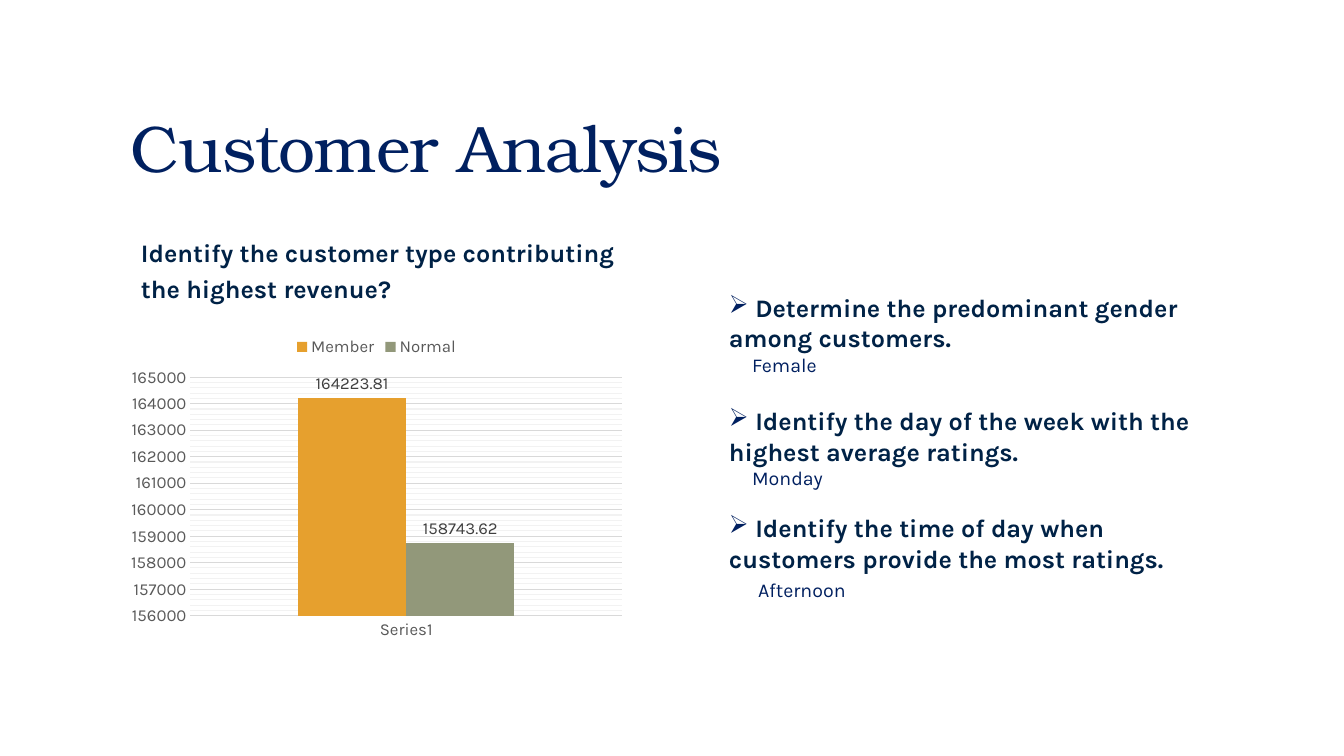
from lxml import etree
from pptx import Presentation
from pptx.chart.data import CategoryChartData
from pptx.dml.color import RGBColor
from pptx.enum import chart as ch, text as tx
from pptx.oxml.ns import qn
from pptx.util import Inches, Pt

# Content
TITLE = "Customer Analysis"
QUESTION = "Identify the customer type contributing the highest revenue?"
CATEGORY = "Series1"
NAVY, INK = RGBColor(0x00, 0x20, 0x60), RGBColor(0x00, 0x22, 0x46)
AXIS_TEXT, LABEL_TEXT = RGBColor(0x59, 0x59, 0x59), RGBColor(0x40, 0x40, 0x40)
GRID, MINOR_GRID = RGBColor(0xD9, 0xD9, 0xD9), RGBColor(0xF2, 0xF2, 0xF2)
REVENUE = [
    ("Member", 164223.81, RGBColor(0xE6, 0xA0, 0x2E)),
    ("Normal", 158743.62, RGBColor(0x92, 0x98, 0x7A)),
]
# Finding, answer, space above finding, space above answer, answer indent
FINDINGS = [
    ("Determine the predominant gender among customers.", "Female", 0, 0, 0.33),
    ("Identify the day of the week with the highest average ratings.", "Monday", 21, 0, 0.33),
    ("Identify the time of day when customers provide the most ratings.", "Afternoon", 16.5, 3.5, 0.39),
]
BODY_FONT, TITLE_FONT = "Karla", "TeX Gyre Bonum"
LEFT, RIGHT, COLUMN = 1.2, 7.13, 5.07

prs = Presentation()
prs.slide_width, prs.slide_height = Inches(13.33), Inches(7.5)
slide = prs.slides.add_slide(prs.slide_layouts[6])


def add_frame(left, top, width, height, anchor):
    frame = slide.shapes.add_textbox(*map(Inches, (left, top, width, height))).text_frame
    frame.word_wrap = True
    frame.vertical_anchor = anchor
    return frame


def style(font, size, color, name=BODY_FONT, bold=False):
    font.size, font.name, font.bold = Pt(size), name, bold
    font.color.rgb = color


def write(paragraph, words, size, color, name=BODY_FONT, bold=False, indent=0, bullet=None):
    paragraph.text = words
    props = paragraph._p.get_or_add_pPr()
    props.set("marL", str(Inches(indent)))
    props.set("indent", "0")
    if bullet:
        bullet_color = etree.SubElement(props, qn("a:buClr"))
        etree.SubElement(bullet_color, qn("a:srgbClr"), val=str(NAVY))
        etree.SubElement(props, qn("a:buChar"), char=bullet)
    style(paragraph.runs[0].font, size, color, name, bold)


# Title
title = add_frame(LEFT, 0.31, 11, 1.59, tx.MSO_ANCHOR.BOTTOM).paragraphs[0]
write(title, TITLE, 47, NAVY, TITLE_FONT)
title.line_spacing = 0.9
title.runs[0]._r.get_or_add_rPr().set("spc", "-50")

# Question above the chart
question = add_frame(LEFT, 2.25, COLUMN, 0.81, tx.MSO_ANCHOR.MIDDLE).paragraphs[0]
write(question, QUESTION, 18, INK, bold=True, indent=0.1)
question.line_spacing = 1.2

# Revenue chart
data = CategoryChartData()
data.categories = [CATEGORY]
for customer, revenue, _ in REVENUE:
    data.add_series(customer, [revenue])
chart = slide.shapes.add_chart(
    ch.XL_CHART_TYPE.COLUMN_CLUSTERED, Inches(LEFT), Inches(3.23), Inches(COLUMN), Inches(3.18), data
).chart
chart.has_title = False
style(chart.font, 12, AXIS_TEXT)
chart.has_legend = True
chart.legend.position = ch.XL_LEGEND_POSITION.TOP
chart.legend.include_in_layout = False
style(chart.legend.font, 12, AXIS_TEXT)

plot = chart.plots[0]
plot.gap_width, plot.overlap, plot.vary_by_categories = 199, 0, False
for series, (_, _, color) in zip(plot.series, REVENUE):
    series.format.fill.solid()
    series.format.fill.fore_color.rgb = color
    labels = series.data_labels
    labels.show_value = True
    labels.position = ch.XL_LABEL_POSITION.OUTSIDE_END
    style(labels.font, 12, LABEL_TEXT)

values, categories = chart.value_axis, chart.category_axis
values.minimum_scale, values.maximum_scale = 156000, 165000
values.major_unit, values.minor_unit = 1000, 200
values.has_major_gridlines = values.has_minor_gridlines = True
values.format.line.fill.background()
for line in (values.major_gridlines.format.line, categories.format.line):
    line.color.rgb, line.width = GRID, Pt(0.75)
for axis in (values, categories):
    axis.major_tick_mark = axis.minor_tick_mark = ch.XL_TICK_MARK.NONE
    style(axis.tick_labels.font, 12, AXIS_TEXT)

# Minor gridlines are coloured through XML
minor_grid = values._element.find(qn("c:minorGridlines"))
minor_props = etree.SubElement(minor_grid, qn("c:spPr"))
minor_line = etree.SubElement(minor_props, qn("a:ln"), w=str(Pt(0.75)))
minor_fill = etree.SubElement(minor_line, qn("a:solidFill"))
etree.SubElement(minor_fill, qn("a:srgbClr"), val=str(MINOR_GRID))

# Findings and answers
findings = add_frame(RIGHT, 2.85, COLUMN, 3.57, tx.MSO_ANCHOR.TOP)
findings.margin_left = findings.margin_right = 0
for number, (finding, answer, finding_gap, answer_gap, indent) in enumerate(FINDINGS):
    heading = findings.add_paragraph() if number else findings.paragraphs[0]
    write(heading, " " + finding, 18, INK, bold=True, indent=0.1, bullet="➢")
    heading.space_before = Pt(finding_gap)
    reply = findings.add_paragraph()
    write(reply, answer, 14, NAVY, indent=indent)
    reply.space_before = Pt(answer_gap)

prs.save("out.pptx")
